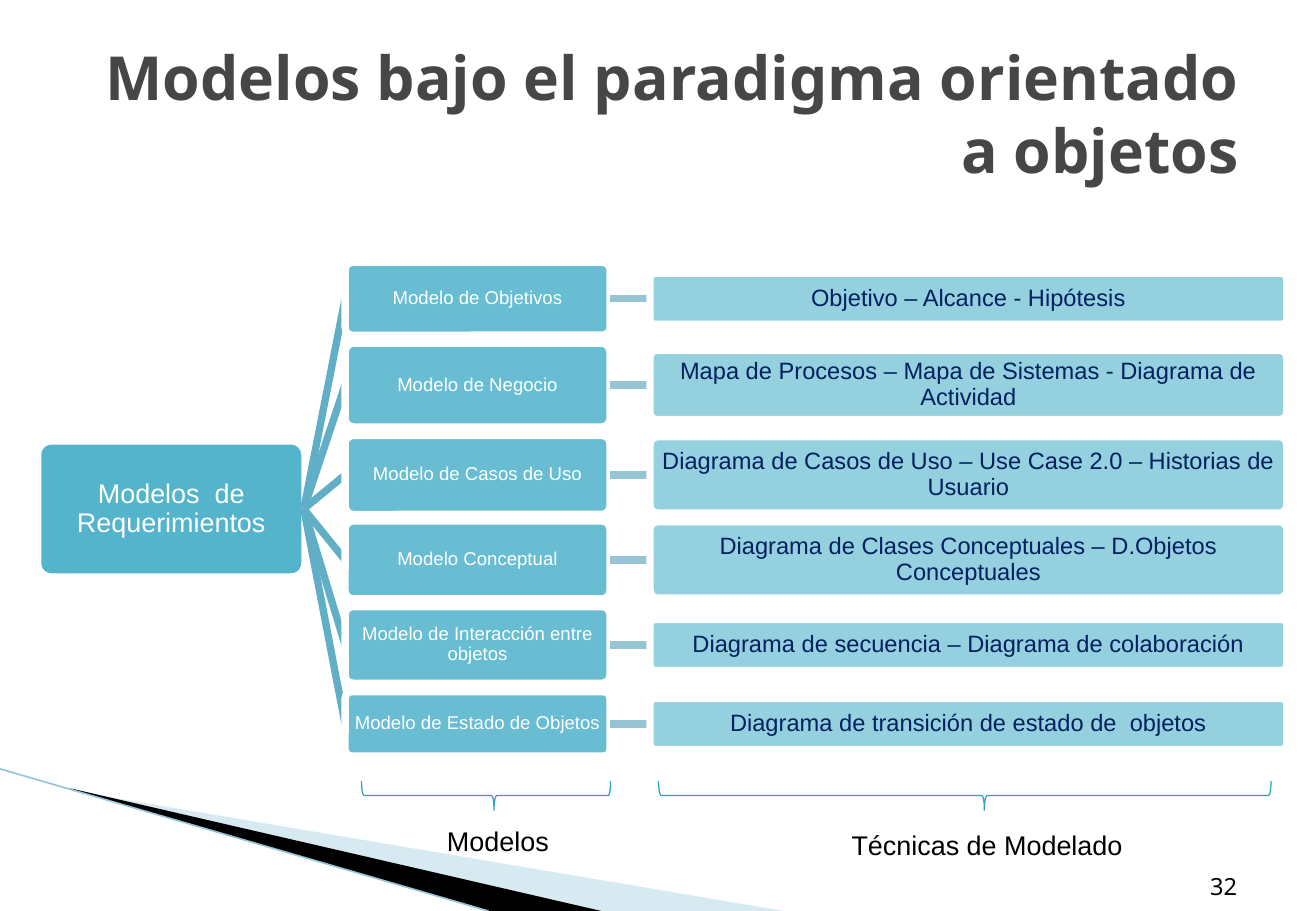
import pptx
import pptx.util
import pptx.dml.color
import pptx.enum.shapes
import pptx.enum.text
import pptx.oxml.ns
from lxml import etree
from pptx.util import Inches

COLORS = {
    "teal": "2AA2BF",
    "branch": "61AEC7",
    "link": "97C4D5",
    "brace": "2DA2BF",
    "swoosh": "9CCADC",
    "swoosh_edge": "93C5D8",
    "title": "464646",
    "navy": "002060",
    "white": "FFFFFF",
    "black": "000000",
}
SHAPES = pptx.enum.shapes.MSO_SHAPE
ALIGN = pptx.enum.text.PP_ALIGN
ANCHOR = pptx.enum.text.MSO_ANCHOR

ROOT_RIGHT, ROOT_MIDDLE = 2.5, 4.19
MODEL_LEFT, MODEL_WIDTH = 2.84, 2.18
TECHNIQUE_LEFT, TECHNIQUE_WIDTH = 5.35, 5.24
THICK = 4.33

ROWS = [
    (2.46, "Modelo de Objetivos", 0.6, "Objetivo – Alcance - Hipótesis", 0.42),
    (3.17, "Modelo de Negocio", 0.69,
     "Mapa de Procesos – Mapa de Sistemas - Diagrama de Actividad", 0.57),
    (3.91, "Modelo de Casos de Uso", 0.65,
     "Diagrama de Casos de Uso – Use Case 2.0 – Historias de Usuario", 0.63),
    (4.61, "Modelo Conceptual", 0.64,
     "Diagrama de Clases Conceptuales – D.Objetos Conceptuales", 0.63),
    (5.31, "Modelo de Interacción entre objetos", 0.63,
     "Diagrama de secuencia – Diagrama de colaboración", 0.42),
    (5.96, "Modelo de Estado de Objetos", 0.53,
     "Diagrama de transición de estado de  objetos", 0.42),
]


def rgb(name):
    return pptx.dml.color.RGBColor.from_string(COLORS[name])


def paint(shape, color, opacity=100):
    shape.shadow.inherit = False
    shape.fill.solid()
    shape.fill.fore_color.rgb = rgb(color)
    if opacity < 100:
        tint = shape.fill._xPr.find(".//" + pptx.oxml.ns.qn("a:srgbClr"))
        alpha = etree.SubElement(tint, pptx.oxml.ns.qn("a:alpha"))
        alpha.set("val", str(opacity * 1000))


def stroke(shape, color, width):
    shape.line.color.rgb = rgb(color)
    shape.line.width = pptx.util.Pt(width)


def write(frame, text, size, font, color, align, bold=False, spacing=None):
    frame.word_wrap = True
    paragraph = frame.paragraphs[0]
    paragraph.alignment = align
    if spacing:
        paragraph.line_spacing = spacing
    run = paragraph.add_run()
    run.text = text
    run.font.size = pptx.util.Pt(size)
    run.font.name = font
    run.font.bold = bold
    run.font.color.rgb = rgb(color)


def add_label(slide, box, text, size, font="Arial", color="black",
              align=ALIGN.LEFT, anchor=ANCHOR.TOP, bold=False):
    label = slide.shapes.add_textbox(*map(Inches, box))
    label.text_frame.vertical_anchor = anchor
    write(label.text_frame, text, size, font, color, align, bold)


def add_node(slide, left, middle, width, height, text, size, color, opacity):
    node = slide.shapes.add_shape(
        SHAPES.ROUNDED_RECTANGLE, Inches(left), Inches(middle - height / 2),
        Inches(width), Inches(height))
    node.adjustments[0] = 0.1
    paint(node, "teal", opacity)
    stroke(node, "white", THICK)
    frame = node.text_frame
    frame.margin_left = frame.margin_right = Inches(0.01)
    frame.margin_top = frame.margin_bottom = Inches(0.01)
    frame.vertical_anchor = ANCHOR.MIDDLE
    write(frame, text, size, "Arial", color, ALIGN.CENTER, spacing=0.9)


def add_line(slide, start, end, color, width):
    line = slide.shapes.add_connector(
        pptx.enum.shapes.MSO_CONNECTOR.STRAIGHT, *map(Inches, start + end))
    stroke(line, color, width)
    etree.SubElement(line._element.spPr, pptx.oxml.ns.qn("a:effectLst"))


def add_swoosh(slide, points, color, opacity=100):
    corners = [(Inches(x), Inches(y)) for x, y in points]
    builder = slide.shapes.build_freeform(*corners[0])
    builder.add_line_segments(corners[1:], close=True)
    swoosh = builder.convert_to_shape()
    paint(swoosh, color, opacity)
    swoosh.line.fill.background()


def add_brace(slide, center, span):
    depth = 0.24
    brace = slide.shapes.add_shape(
        SHAPES.LEFT_BRACE, Inches(center - depth / 2), Inches(6.55 - span / 2),
        Inches(depth), Inches(span))
    brace.rotation = 270
    brace.adjustments[0] = 0.083
    brace.adjustments[1] = 0.532
    brace.shadow.inherit = False
    brace.fill.background()
    stroke(brace, "brace", 0.75)


def add_row(slide, middle, model, model_height, technique, technique_height):
    add_line(slide, (ROOT_RIGHT, ROOT_MIDDLE), (MODEL_LEFT, middle), "branch", THICK)
    add_node(slide, MODEL_LEFT, middle, MODEL_WIDTH, model_height,
             model, 11, "white", 70)
    add_line(slide, (MODEL_LEFT + MODEL_WIDTH, middle), (TECHNIQUE_LEFT, middle),
             "link", THICK)
    add_node(slide, TECHNIQUE_LEFT, middle, TECHNIQUE_WIDTH, technique_height,
             technique, 14, "navy", 50)


def main():
    deck = pptx.Presentation()
    deck.slide_width = Inches(10.83)
    deck.slide_height = Inches(7.5)
    slide = deck.slides.add_slide(deck.slide_layouts[6])

    add_swoosh(slide, [(0.59, 6.51), (6.45, 7.5), (4.94, 7.5), (0.59, 6.5)], "swoosh", 40)
    add_swoosh(slide, [(0.58, 6.49), (4.95, 7.5), (4.03, 7.5), (0.59, 6.5)], "black")
    add_line(slide, (0, 6.33), (4.02, 7.5), "swoosh_edge", 0.95)

    add_node(slide, 0.31, ROOT_MIDDLE, 2.2, 1.12,
             "Modelos  de Requerimientos", 16, "white", 80)
    for row in ROWS:
        add_row(slide, *row)

    add_label(slide, (0.54, 0.3, 9.75, 1.25),
              "Modelos bajo el paradigma orientado a objetos", 36, "Noto Sans",
              "title", ALIGN.RIGHT, ANCHOR.MIDDLE, True)
    add_label(slide, (8.91, 6.95, 1.37, 0.51), "32", 14, "Noto Sans",
              align=ALIGN.RIGHT, anchor=ANCHOR.BOTTOM)
    add_brace(slide, 7.94, 5.04)
    add_label(slide, (6.91, 6.77, 2.46, 0.37), "Técnicas de Modelado", 16)
    add_brace(slide, 4, 2.05)
    add_label(slide, (3.58, 6.74, 1.05, 0.37), "Modelos", 16)

    deck.save("out.pptx")


if __name__ == "__main__":
    main()
